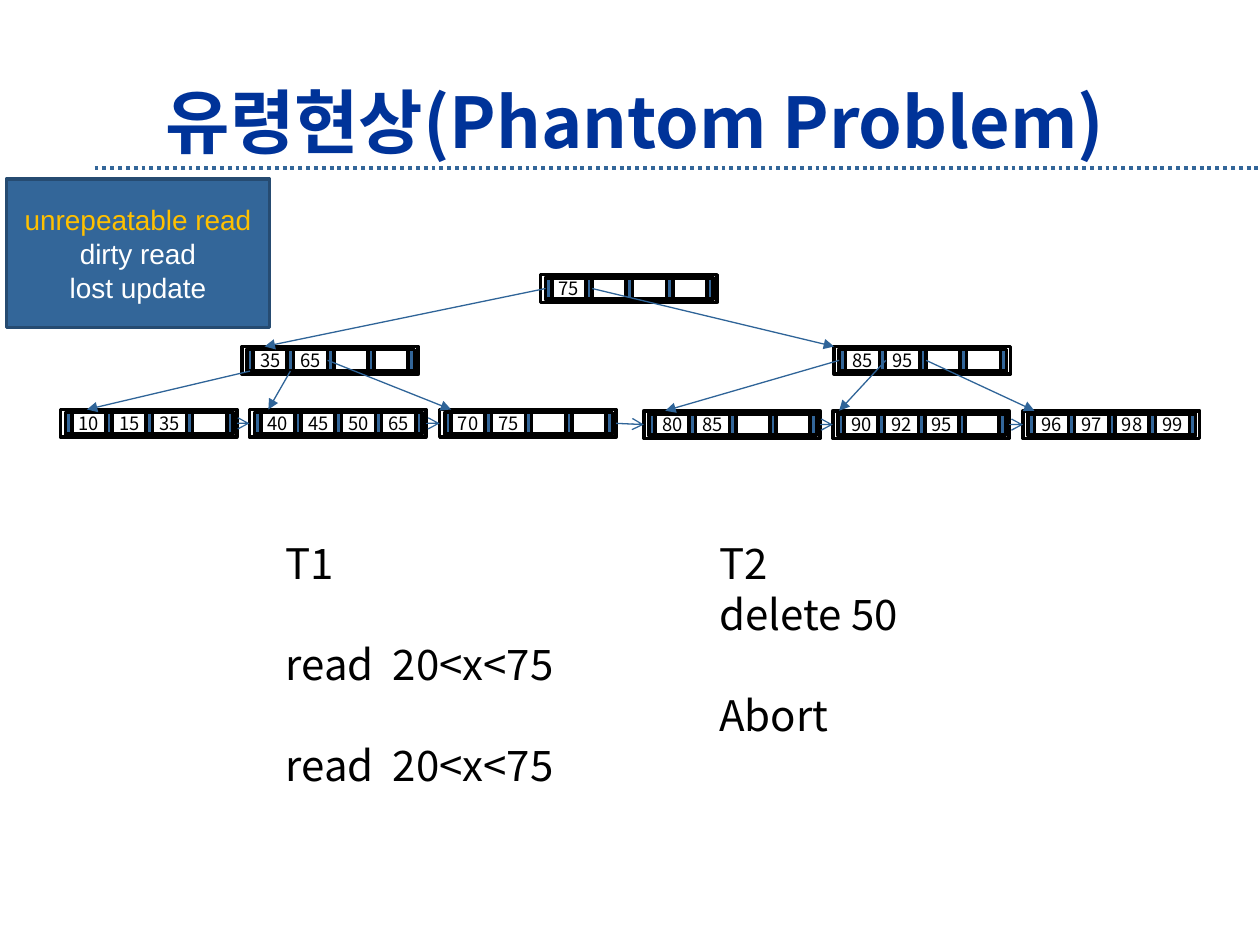
from lxml.etree import SubElement
from pptx import Presentation
from pptx.dml.color import RGBColor
from pptx.enum.dml import MSO_LINE
from pptx.enum.shapes import MSO_CONNECTOR, MSO_SHAPE
from pptx.enum.text import MSO_ANCHOR, PP_ALIGN
from pptx.oxml.ns import qn
from pptx.util import Inches, Pt

GRID = Inches(0.1)
COLUMNS, ROWS = 100, 75
KOREAN_FONT, NOTE_FONT = "Noto Sans CJK KR", "Arial"

WHITE = RGBColor(0xFF, 0xFF, 0xFF)
BLACK = RGBColor(0x00, 0x00, 0x00)
BLUE = RGBColor(0x33, 0x66, 0x99)
NAVY = RGBColor(0x00, 0x33, 0x99)
EDGE = RGBColor(0x26, 0x4B, 0x71)
LINK = RGBColor(0x2F, 0x64, 0x98)
AMBER = RGBColor(0xFF, 0xC0, 0x00)

BOTTOM, LEFT, RIGHT = 2, 1, 3
SLOTS = 4
SLOT_PITCH = 3.2
NODE_WIDTH, NODE_HEIGHT = 14, 2.2

NODES = {
    "root": (42.9, 21.8, ["75"]),
    "low": (19.2, 27.5, ["35", "65"]),
    "high": (66.2, 27.5, ["85", "95"]),
    "to 35": (4.8, 32.5, ["10", "15", "35"]),
    "to 65": (19.8, 32.5, ["40", "45", "50", "65"]),
    "to 75": (34.9, 32.5, ["70", "75"]),
    "to 85": (51.1, 32.6, ["80", "85"]),
    "to 95": (66.1, 32.6, ["90", "92", "95"]),
    "to 99": (81.2, 32.6, ["96", "97", "98", "99"]),
}
LEAVES = [name for name in NODES if name.startswith("to ")]

CHILD_LINKS = [
    ("root", 0, LEFT, "low", 1.8),
    ("root", 1, RIGHT, "high", 0),
    ("low", 0, BOTTOM, "to 35", 2.1),
    ("low", 1, BOTTOM, "to 65", 1.5),
    ("low", 2, LEFT, "to 75", 0.9),
    ("high", 0, LEFT, "to 85", 1.7),
    ("high", 1, RIGHT, "to 95", 0.5),
    ("high", 2, RIGHT, "to 99", 0.9),
]


def cells(*counts):
    """Turn grid counts into slide lengths."""
    return [round(count * GRID) for count in counts]


def style(paragraph, size, color, font=KOREAN_FONT, bold=False):
    """Set the font of a whole paragraph, for Latin and Korean letters."""
    paragraph.font.size = Pt(size)
    paragraph.font.bold = bold
    paragraph.font.color.rgb = color
    paragraph.font.name = font
    defaults = paragraph._p.pPr.find(qn("a:defRPr"))
    SubElement(defaults, qn("a:ea")).set("typeface", font)


def write_lines(frame, lines, size, font=KOREAN_FONT, align=PP_ALIGN.LEFT):
    """Write (text, color, blank lines above) entries at an even line pitch."""
    pitch = 1.2 * size
    for index, (text, color, gap) in enumerate(lines):
        paragraph = frame.paragraphs[0] if index == 0 else frame.add_paragraph()
        paragraph.text = text
        paragraph.alignment = align
        paragraph.line_spacing = Pt(pitch)
        if gap:
            paragraph.space_before = Pt(gap * pitch)
        style(paragraph, size, color, font)


def add_box(shapes, area, fill=None, edge=BLACK):
    """Add a flat rectangle with a two-point outline."""
    box = shapes.add_shape(MSO_SHAPE.RECTANGLE, *cells(*area))
    box.shadow.inherit = False
    if fill is None:
        box.fill.background()
    else:
        box.fill.solid()
        box.fill.fore_color.rgb = fill
    box.line.color.rgb = edge
    box.line.width = Pt(2)
    return box


def add_key(shapes, area, key):
    """Add a key slot with its centred value."""
    frame = add_box(shapes, area, WHITE).text_frame
    frame.margin_left = frame.margin_right = 0
    frame.margin_top = frame.margin_bottom = 0
    frame.vertical_anchor = MSO_ANCHOR.MIDDLE
    frame.word_wrap = False
    if key:
        paragraph = frame.paragraphs[0]
        paragraph.text = key
        paragraph.alignment = PP_ALIGN.CENTER
        style(paragraph, 10.5, BLACK)


def add_node(slide, left, top, keys):
    """Add a tree node and return its frame and pointer bars."""
    shapes = slide.shapes.add_group_shape().shapes
    pointers = []
    for slot in range(SLOTS + 1):
        slot_left = left + 0.4 + slot * SLOT_PITCH
        if slot < SLOTS:
            key = keys[slot] if slot < len(keys) else ""
            add_key(shapes, (slot_left, top + 0.25, 3.7, 1.7), key)
        pointers.append(add_box(shapes, (slot_left, top + 0.25, 0.5, 1.7), BLUE))
    return add_box(shapes, (left, top, NODE_WIDTH, NODE_HEIGHT)), pointers


def add_line(slide, start, end, color, width, head=None):
    """Add a flat straight line, with an arrowhead at its end if asked."""
    line = slide.shapes.add_connector(MSO_CONNECTOR.STRAIGHT, *cells(*start, *end))
    line.line.color.rgb = color
    line.line.width = Pt(width)
    if head:
        SubElement(line.line._get_or_add_ln(), qn("a:tailEnd")).set("type", head)
    SubElement(line._element.spPr, qn("a:effectLst"))
    return line


def add_title(slide, text):
    """Add the heading and the dotted rule under it."""
    rule = add_line(slide, (7.5, 13.3), (COLUMNS, 13.3), BLUE, 2.25)
    rule.line.dash_style = MSO_LINE.ROUND_DOT
    frame = slide.shapes.add_textbox(*cells(7.5, 6.7, 85.8, 5.8)).text_frame
    frame.word_wrap = True
    frame.vertical_anchor = MSO_ANCHOR.MIDDLE
    heading = frame.paragraphs[0]
    heading.text = text
    heading.alignment = PP_ALIGN.CENTER
    style(heading, 40, NAVY, bold=True)


def add_tree(slide):
    """Add all nodes, their child arrows and the chain of leaves."""
    nodes = {name: add_node(slide, *place) for name, place in NODES.items()}
    for parent, pointer, side, child, offset in CHILD_LINKS:
        left, top, _ = NODES[child]
        tip = (left + offset, top)
        arrow = add_line(slide, tip, tip, LINK, 0.75, "triangle")
        arrow.begin_connect(nodes[parent][1][pointer], side)
    for leaf, following in zip(LEAVES, LEAVES[1:]):
        arrow = add_line(slide, (0, 0), (1, 1), LINK, 0.75, "arrow")
        arrow.begin_connect(nodes[leaf][0], RIGHT)
        arrow.end_connect(nodes[following][0], LEFT)


def add_transaction(slide, area, steps):
    """Add the steps of one transaction, spaced along the shared time line."""
    frame = slide.shapes.add_textbox(*cells(*area)).text_frame
    frame.word_wrap = True
    write_lines(frame, [(text, BLACK, gap) for text, gap in steps], 24)


def add_note(slide):
    """Add the box that lists the kinds of anomaly."""
    note = add_box(slide.shapes, (0.5, 14.2, 20.9, 11.8), BLUE, EDGE)
    note.text_frame.word_wrap = True
    note.text_frame.vertical_anchor = MSO_ANCHOR.MIDDLE
    anomalies = [
        ("unrepeatable read", AMBER, 0),
        ("dirty read", WHITE, 0),
        ("lost update", WHITE, 0),
    ]
    write_lines(note.text_frame, anomalies, 16, NOTE_FONT, PP_ALIGN.CENTER)


def main():
    """Build the slide and save it."""
    deck = Presentation()
    deck.slide_width, deck.slide_height = cells(COLUMNS, ROWS)
    slide = deck.slides.add_slide(deck.slide_layouts[6])
    add_title(slide, "유령현상(Phantom Problem)")
    add_tree(slide)
    reads = [("T1", 0), ("read  20<x<75", 1), ("read  20<x<75", 1)]
    add_transaction(slide, (21.7, 42.2, 24.8, 25.2), reads)
    changes = [("T2", 0), ("delete 50", 0), ("Abort", 1)]
    add_transaction(slide, (56.1, 42.2, 16.6, 21.2), changes)
    add_note(slide)
    deck.save("out.pptx")


if __name__ == "__main__":
    main()
